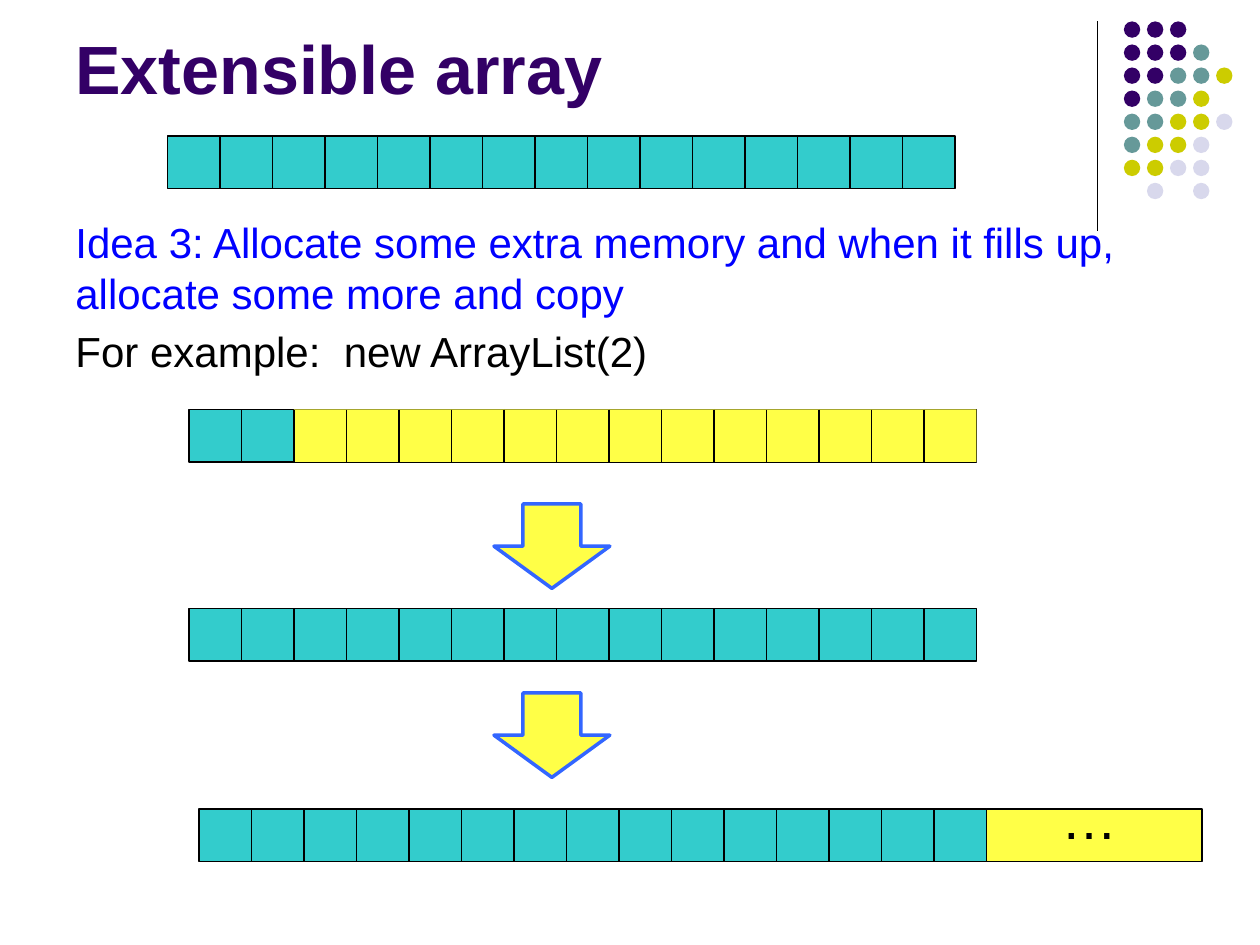
"""Build the slide that explains how an extensible array grows."""
import pptx
import pptx.dml.color
import pptx.enum.shapes
import pptx.enum.text
import pptx.oxml
import pptx.util

Inches = pptx.util.Inches
Pt = pptx.util.Pt
Shapes = pptx.enum.shapes.MSO_SHAPE
Anchor = pptx.enum.text.MSO_ANCHOR

BLACK, PURPLE, BLUE = "000000", "330066", "0000FF"
TEAL, YELLOW, ARROW_BLUE = "33CCCC", "FFFF47", "3366FF"
DOT_COLOURS = {"P": PURPLE, "G": "669999", "Y": "CCCC00", "L": "D8D8EC"}
DOT_ROWS = ["PPP", "PPPG", "PPGGY", "PGGY", "GGYYL", "GYYL", "YYLL", " L L"]
DOT_SIZE, DOT_STEP = 0.13, 0.183
CELL_COUNT = 15
CELL_SIZE = 6.25 / CELL_COUNT


def colour(hex_string):
    return pptx.dml.color.RGBColor.from_string(hex_string)


def write(paragraph, text, size=24, color=BLACK, bold=False, before=0):
    paragraph.space_before = Pt(before)
    run = paragraph.add_run()
    run.text = text
    run.font.name = "Arial"
    run.font.size = Pt(size)
    run.font.bold = bold
    run.font.color.rgb = colour(color)


class ArraySlide:
    def __init__(self, slide):
        self.slide = slide
        self.line_color = BLACK
        self.line_width = 0.75

    def shape(self, kind, left, top, width, height, fill, line=None, weight=None, parent=None):
        shapes = (parent or self.slide).shapes
        shape = shapes.add_shape(kind, Inches(left), Inches(top), Inches(width), Inches(height))
        shape.shadow.inherit = False
        shape.fill.solid()
        shape.fill.fore_color.rgb = colour(fill)
        if line:
            shape.line.color.rgb = colour(line)
            shape.line.width = Pt(weight or self.line_width)
        else:
            shape.line.fill.background()
        return shape

    def vertical_line(self, left, top, bottom, parent=None):
        connector = (parent or self.slide).shapes.add_connector(
            pptx.enum.shapes.MSO_CONNECTOR.STRAIGHT,
            Inches(left), Inches(top), Inches(left), Inches(bottom))
        connector.line.color.rgb = colour(self.line_color)
        connector.line.width = Pt(self.line_width)
        properties = connector._element.spPr
        properties.append(pptx.oxml.parse_xml(
            '<a:effectLst xmlns:a="http://schemas.openxmlformats.org/drawingml/2006/main"/>'))

    def text(self, left, top, width, height, paragraphs, anchor=Anchor.TOP):
        box = self.slide.shapes.add_textbox(
            Inches(left), Inches(top), Inches(width), Inches(height))
        frame = box.text_frame
        frame.word_wrap = True
        frame.vertical_anchor = anchor
        for index, (text, style) in enumerate(paragraphs):
            paragraph = frame.add_paragraph() if index else frame.paragraphs[0]
            write(paragraph, text, **style)

    def dots(self, left, top):
        group = self.slide.shapes.add_group_shape()
        for row, letters in enumerate(DOT_ROWS):
            for column, letter in enumerate(letters):
                if letter in DOT_COLOURS:
                    self.shape(Shapes.OVAL, left + column * DOT_STEP, top + row * DOT_STEP,
                               DOT_SIZE, DOT_SIZE, DOT_COLOURS[letter], parent=group)

    def array(self, left, top, used=CELL_COUNT):
        group = self.slide.shapes.add_group_shape()
        self.shape(Shapes.RECTANGLE, left, top, CELL_COUNT * CELL_SIZE, CELL_SIZE,
                   TEAL, self.line_color, parent=group)
        if used < CELL_COUNT:
            self.shape(Shapes.RECTANGLE, left + used * CELL_SIZE, top,
                       (CELL_COUNT - used) * CELL_SIZE, CELL_SIZE, YELLOW, parent=group)
        for index in range(1, CELL_COUNT):
            self.vertical_line(left + index * CELL_SIZE, top, top + CELL_SIZE, group)

    def down_arrow(self, left, top):
        self.shape(Shapes.DOWN_ARROW, left, top, 0.92, 0.67, YELLOW, ARROW_BLUE, 2)


def main():
    presentation = pptx.Presentation()
    presentation.slide_width = Inches(10)
    presentation.slide_height = Inches(7.5)
    slide = ArraySlide(presentation.slides.add_slide(presentation.slide_layouts[6]))

    slide.vertical_line(8.71, 0.17, 1.83)
    slide.dots(8.92, 0.17)
    slide.text(0.5, 0.13, 8.25, 0.78,
               [("Extensible array", dict(size=39, color=PURPLE, bold=True))], Anchor.BOTTOM)
    slide.text(0.5, 1.67, 9.08, 1.95, [
        ("Idea 3: Allocate some extra memory and when it fills up, "
         "allocate some more and copy", dict(color=BLUE)),
        ("For example:  new ArrayList(2)", dict(before=4.8)),
    ])

    slide.array(1.33, 1.08)
    slide.array(1.5, 3.25, used=2)
    slide.array(1.5, 4.83)
    slide.array(1.58, 6.42)
    slide.shape(Shapes.RECTANGLE, 7.83, 6.42, 1.71, CELL_SIZE, YELLOW, BLACK)
    slide.text(8.33, 6.17, 0.75, 0.64, [("…", dict(size=32))])
    for top in (4, 5.5):
        slide.down_arrow(3.92, top)

    presentation.save("out.pptx")


if __name__ == "__main__":
    main()
